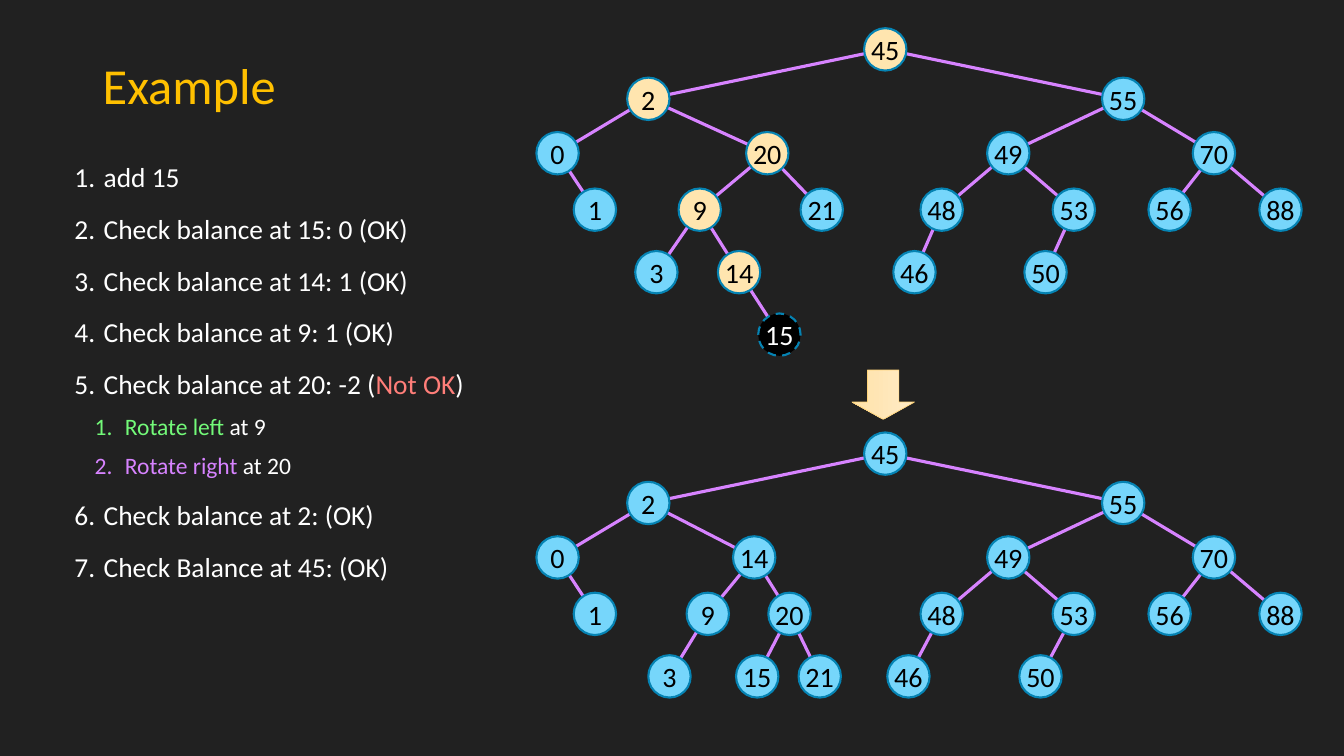
"""Build the slide that shows an AVL tree before and after rebalancing."""

from dataclasses import dataclass

from lxml.etree import SubElement
from pptx import Presentation
from pptx.dml.color import RGBColor as Rgb
from pptx.enum.dml import MSO_LINE_DASH_STYLE as Dash
from pptx.enum.shapes import MSO_CONNECTOR as Connector, MSO_SHAPE as Shape
from pptx.enum.text import MSO_ANCHOR as Anchor, PP_ALIGN as Align
from pptx.oxml.ns import qn
from pptx.slide import Slide
from pptx.text.text import TextFrame
from pptx.util import Inches, Pt


@dataclass(frozen=True)
class Theme:
    """Colours and type sizes of the slide."""
    font: str = "Calibri"
    background: str = "212121"
    title: str = "FFC000"
    text: str = "FFFFFF"
    bad: str = "FF7E79"
    left: str = "73FA79"
    edge: str = "D783FF"
    node: str = "76D6FB"
    visited: str = "FFE5AF"
    outline: str = "0583B3"
    dark: str = "000000"
    arrow_light: str = "FFEBC5"
    arrow_deep: str = "FFE2AA"
    arrow_line: str = "FFD479"
    title_size: float = 36
    step_size: float = 19.6
    substep_size: float = 16.8
    node_size: float = 20


@dataclass(frozen=True)
class Node:
    """A tree node with its centre, row and parent value."""
    value: int
    x: float
    row: int
    parent: int | None = None


@dataclass(frozen=True)
class Span:
    """A stretch of text in one colour."""
    text: str
    color: str


@dataclass(frozen=True)
class Step:
    """A numbered step on one of two levels."""
    spans: tuple[Span, ...]
    level: int = 0


THEME = Theme()
DIAMETER = 0.42
ROWS = (0.49, 0.98, 1.52, 2.08, 2.7, 3.32)
TREE_SHIFT = 4.01
PATH = {45, 2, 20, 9, 14}
ADDED = 15

SHARED = (
    Node(45, 8.78, 0), Node(2, 6.43, 1, 45), Node(55, 11.14, 1, 45),
    Node(0, 5.53, 2, 2), Node(1, 5.9, 3, 0),
    Node(49, 10, 2, 55), Node(48, 9.34, 3, 49), Node(53, 10.65, 3, 49),
    Node(70, 12.04, 2, 55), Node(56, 11.6, 3, 70), Node(88, 12.7, 3, 70),
)
BEFORE = SHARED + (
    Node(20, 7.61, 2, 2), Node(9, 6.94, 3, 20), Node(21, 8.15, 3, 20),
    Node(3, 6.51, 4, 9), Node(14, 7.33, 4, 9), Node(15, 7.73, 5, 14),
    Node(46, 9.07, 4, 48), Node(50, 10.37, 4, 53),
)
AFTER = SHARED + (
    Node(14, 7.48, 2, 2), Node(9, 7.02, 3, 14), Node(20, 7.83, 3, 14),
    Node(3, 6.64, 4, 9), Node(15, 7.51, 4, 20), Node(21, 8.13, 4, 20),
    Node(46, 9.01, 4, 48), Node(50, 10.32, 4, 53),
)


def plain(text: str) -> Step:
    """Return a top-level step in the text colour."""
    return Step((Span(text, THEME.text),))


STEPS = (
    plain("add 15"),
    plain("Check balance at 15: 0 (OK)"),
    plain("Check balance at 14: 1 (OK)"),
    plain("Check balance at 9: 1 (OK)"),
    Step((Span("Check balance at 20: -2 (", THEME.text),
          Span("Not OK", THEME.bad), Span(")", THEME.text))),
    Step((Span("Rotate left ", THEME.left), Span("at 9", THEME.text)), 1),
    Step((Span("Rotate right ", THEME.edge), Span("at 20", THEME.text)), 1),
    plain("Check balance at 2: (OK)"),
    plain("Check Balance at 45: (OK)"),
)


def add_box(page: Slide, left: float, top: float, width: float, height: float) -> TextFrame:
    """Add a wrapping text box and return its frame."""
    box = page.shapes.add_textbox(Inches(left), Inches(top), Inches(width), Inches(height))
    box.text_frame.word_wrap = True
    return box.text_frame


def add_title(page: Slide) -> None:
    """Add the slide title."""
    frame = add_box(page, 0.92, 0.4, 11.5, 0.95)
    frame.vertical_anchor = Anchor.MIDDLE
    para = frame.paragraphs[0]
    para.text = "Example"
    para.line_spacing = 0.9
    para.font.name, para.font.size = THEME.font, Pt(THEME.title_size)
    para.font.color.rgb = Rgb.from_string(THEME.title)


def add_steps(page: Slide) -> None:
    """Add the numbered list of steps."""
    frame = add_box(page, 0.64, 1.49, 4.48, 4.92)
    for index, step in enumerate(STEPS):
        para = frame.add_paragraph() if index else frame.paragraphs[0]
        para.level = step.level
        para.line_spacing = 1.15
        para.space_before = Pt((10, 5)[step.level] if index else 0)
        properties = para._p.get_or_add_pPr()
        properties.set("marL", str(Inches((0.29, 0.5)[step.level])))
        properties.set("indent", str(-Inches((0.29, 0.3)[step.level])))
        SubElement(properties, qn("a:buFont"), typeface="+mj-lt")
        SubElement(properties, qn("a:buAutoNum"), type="arabicPeriod")
        for span in step.spans:
            run = para.add_run()
            run.text = span.text
            run.font.name = THEME.font
            run.font.size = Pt((THEME.step_size, THEME.substep_size)[step.level])
            run.font.color.rgb = Rgb.from_string(span.color)


def add_edge(page: Slide, child: Node, parent: Node, shift: float) -> None:
    """Connect the centres of a child and its parent."""
    edge = page.shapes.add_connector(
        Connector.STRAIGHT, Inches(child.x), Inches(ROWS[child.row] + shift),
        Inches(parent.x), Inches(ROWS[parent.row] + shift))
    edge.line.color.rgb = Rgb.from_string(THEME.edge)
    edge.line.width = Pt(2.25)
    SubElement(edge._element.spPr, qn("a:effectLst"))


def add_node(page: Slide, node: Node, shift: float, fill: str, added: bool) -> None:
    """Draw a node as a circle with its value."""
    circle = page.shapes.add_shape(
        Shape.OVAL, Inches(node.x - DIAMETER / 2),
        Inches(ROWS[node.row] + shift - DIAMETER / 2), Inches(DIAMETER), Inches(DIAMETER))
    circle.shadow.inherit = False
    circle.fill.solid()
    circle.fill.fore_color.rgb = Rgb.from_string(fill)
    circle.line.color.rgb = Rgb.from_string(THEME.outline)
    circle.line.width = Pt(1.5)
    if added:
        circle.line.dash_style = Dash.DASH
    frame = circle.text_frame
    frame.margin_left = frame.margin_right = frame.margin_top = frame.margin_bottom = 0
    frame.word_wrap = False
    frame.vertical_anchor = Anchor.MIDDLE
    para = frame.paragraphs[0]
    para.text = str(node.value)
    para.alignment = Align.CENTER
    para.font.name, para.font.size = THEME.font, Pt(THEME.node_size)
    para.font.color.rgb = Rgb.from_string(THEME.text if added else THEME.dark)


def add_tree(page: Slide, nodes: tuple[Node, ...], shift: float, inserting: bool) -> None:
    """Draw all edges of a tree and then its nodes."""
    by_value = {node.value: node for node in nodes}
    for node in nodes:
        if node.parent is not None:
            add_edge(page, node, by_value[node.parent], shift)
    for node in nodes:
        added = inserting and node.value == ADDED
        on_path = inserting and node.value in PATH
        fill = THEME.dark if added else THEME.visited if on_path else THEME.node
        add_node(page, node, shift, fill, added)


def add_arrow(page: Slide) -> None:
    """Add the block arrow between the two trees."""
    arrow = page.shapes.add_shape(
        Shape.DOWN_ARROW, Inches(8.45), Inches(3.67), Inches(0.62), Inches(0.49))
    arrow.shadow.inherit = False
    arrow.adjustments[0], arrow.adjustments[1] = 0.5, 0.35
    arrow.fill.gradient()
    arrow.fill.gradient_angle = 180
    for stop, color in zip(arrow.fill.gradient_stops, (THEME.arrow_light, THEME.arrow_deep)):
        stop.color.rgb = Rgb.from_string(color)
    arrow.line.color.rgb = Rgb.from_string(THEME.arrow_line)
    arrow.line.width = Pt(0.5)


def main() -> None:
    """Build and save the deck."""
    deck = Presentation()
    deck.slide_width, deck.slide_height = Inches(13.33), Inches(7.5)
    page = deck.slides.add_slide(deck.slide_layouts[6])
    page.background.fill.solid()
    page.background.fill.fore_color.rgb = Rgb.from_string(THEME.background)
    add_title(page)
    add_steps(page)
    add_tree(page, BEFORE, 0, True)
    add_tree(page, AFTER, TREE_SHIFT, False)
    add_arrow(page)
    deck.save("out.pptx")


if __name__ == "__main__":
    main()
